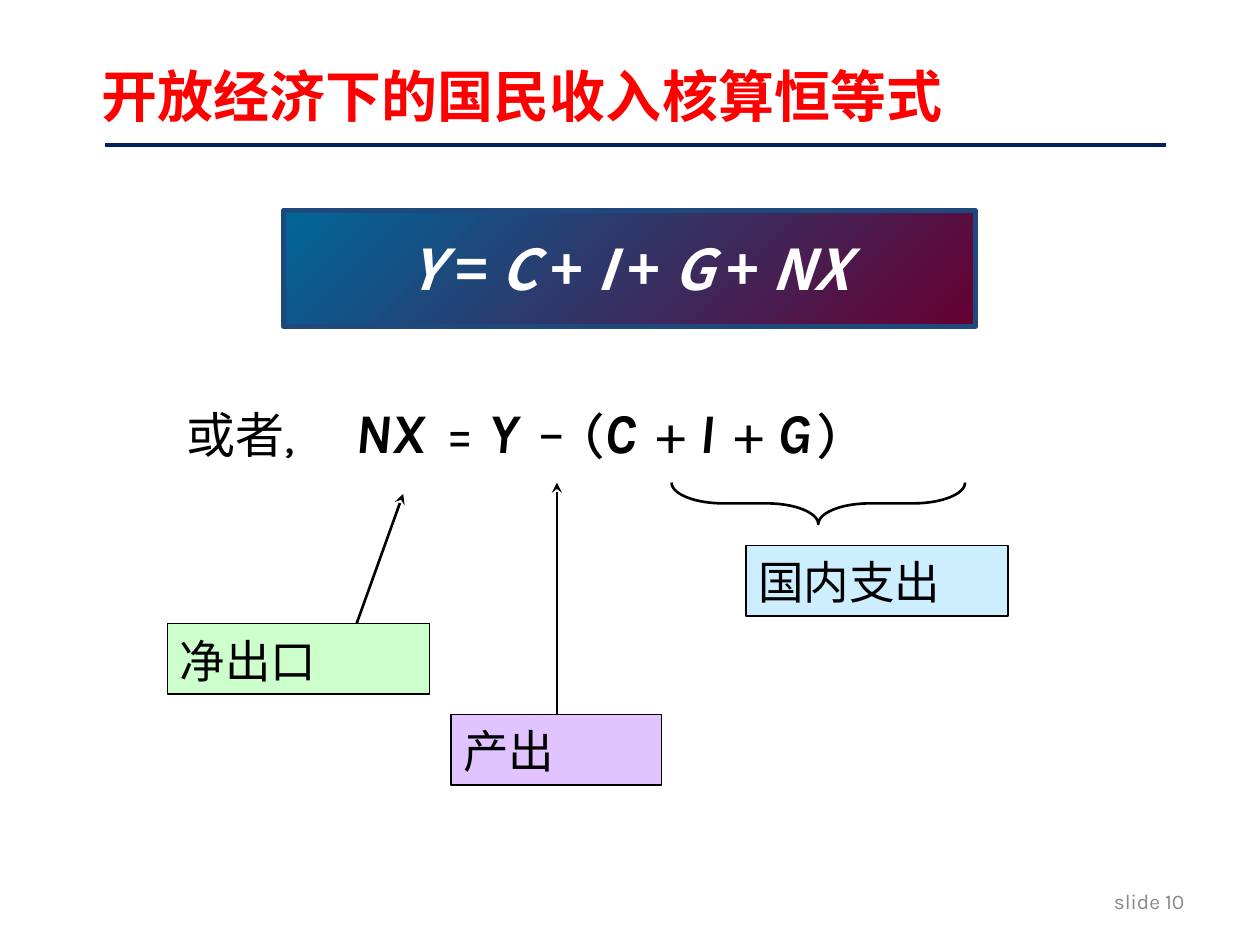
from dataclasses import dataclass

from lxml import etree
from pptx import Presentation
from pptx import util as u
from pptx.dml import color
from pptx.enum import shapes, text
from pptx.oxml import ns


@dataclass(frozen=True)
class Theme:
    body: str = "Karla"
    heading: str = "Noto Sans CJK SC"
    red: str = "FF0000"
    black: str = "000000"
    white: str = "FFFFFF"
    grey: str = "898989"
    navy: str = "002060"
    border: str = "1F497D"
    blend: tuple = ("006699", "660033")
    green: str = "CCFFCC"
    blue: str = "CDEEFF"
    purple: str = "E1C3FF"
    large: int = 32
    medium: int = 28
    label: int = 26
    small: int = 12


T = Theme()


def rgb(value):
    return color.RGBColor.from_string(value)


def set_attrs(obj, values):
    for name, value in values.items():
        setattr(obj, name, value)


def add_run(p, words, size, ink=T.black, font=T.body, spacing=0, **style):
    r = p.add_run()
    r.text = words
    set_attrs(r.font, {"size": u.Pt(size), "name": font, **style})
    r.font.color.rgb = rgb(ink)
    if spacing:
        r.font._element.set("spc", str(spacing))


def set_line(shape, ink, width):
    shape.line.color.rgb = rgb(ink)
    shape.line.width = u.Pt(width)


def add_text(s, box, anchor=text.MSO_ANCHOR.TOP, **layout):
    tf = s.shapes.add_textbox(*map(u.Inches, box)).text_frame
    set_attrs(tf, {"word_wrap": True, "vertical_anchor": anchor})
    p = tf.paragraphs[0]
    set_attrs(p, layout)
    return p


def add_shape(s, kind, box, ink, width):
    sp = s.shapes.add_shape(kind, *map(u.Inches, box))
    sp.shadow.inherit = False
    set_line(sp, ink, width)
    return sp


def add_line(s, start, end, ink=T.black, width=1.5, arrow=False):
    points = map(u.Inches, (*start, *end))
    line = s.shapes.add_connector(shapes.MSO_CONNECTOR.STRAIGHT, *points)
    set_line(line, ink, width)
    if arrow:
        etree.SubElement(line.line._get_or_add_ln(), ns.qn("a:tailEnd"), type="stealth")
    etree.SubElement(line._element.spPr, ns.qn("a:effectLst"))


def add_label(s, words, left, top, width, fill):
    box = (left, top, width, 0.56)
    sp = add_shape(s, shapes.MSO_SHAPE.RECTANGLE, box, T.black, 0.75)
    sp.fill.solid()
    sp.fill.fore_color.rgb = rgb(fill)
    tf = sp.text_frame
    set_attrs(tf, {
        "word_wrap": True,
        "vertical_anchor": text.MSO_ANCHOR.TOP,
        "auto_size": text.MSO_AUTO_SIZE.SHAPE_TO_FIT_TEXT,
    })
    p = tf.paragraphs[0]
    set_attrs(p, {"alignment": text.PP_ALIGN.LEFT, "line_spacing": 1.05})
    add_run(p, words, T.label)


def add_identity(s):
    box = (2.25, 1.67, 5.49, 0.92)
    sp = add_shape(s, shapes.MSO_SHAPE.RECTANGLE, box, T.border, 3)
    sp.fill.gradient()
    sp.fill.gradient_angle = 315
    for stop, ink in zip(sp.fill.gradient_stops, T.blend):
        stop.color.rgb = rgb(ink)
    tf = sp.text_frame
    tf.vertical_anchor = text.MSO_ANCHOR.MIDDLE
    p = tf.paragraphs[0]
    p.alignment = text.PP_ALIGN.CENTER
    pPr = p._p.get_or_add_pPr()
    pPr.set("marL", str(u.Inches(0.38)))
    pPr.set("indent", str(u.Inches(-0.38)))
    for words in ("Y", " = ", "C", " + ", "I", " + ", "G", " + ", "NX"):
        add_run(p, words, T.large, T.white, T.heading, bold=True, italic=words.isalpha())


def add_rearranged_identity(s):
    p = add_text(s, (1.38, 3.17, 6.87, 0.67), line_spacing=0.9)
    tabs = etree.SubElement(p._p.get_or_add_pPr(), ns.qn("a:tabLst"))
    etree.SubElement(tabs, ns.qn("a:tab"), pos=str(u.Inches(1.34)), algn="l")
    add_run(p, "或者,\t", T.medium)
    wide = 400
    terms = (
        ("NX", wide), ("= ", 0), ("Y", wide), ("–", wide), ("(", 0),
        ("C", wide), ("+ ", 0), ("I", wide), ("+ ", 0), ("G", 0),
    )
    for words, gap in terms:
        add_run(p, words, T.large, bold=words.isalpha(), italic=words.isalpha())
        if gap:
            add_run(p, " ", T.large, spacing=gap, bold=True, italic=True)
    add_run(p, " ", T.large / 2, bold=True, italic=True)
    add_run(p, ")", T.large)


def add_brace(s):
    box = (6.33, 2.83, 0.33, 2.33)
    sp = add_shape(s, shapes.MSO_SHAPE.LEFT_BRACE, box, T.black, 1.5)
    sp.fill.background()
    sp.rotation = 270
    sp.adjustments[0] = 1.25


def main():
    prs = Presentation()
    set_attrs(prs, {"slide_width": u.Inches(10), "slide_height": u.Inches(7.5)})
    s = prs.slides.add_slide(prs.slide_layouts[6])

    middle = text.MSO_ANCHOR.MIDDLE
    p = add_text(s, (0.71, 0.42, 8.66, 0.73), middle, line_spacing=0.9)
    add_run(p, "开放经济下的国民收入核算恒等式", T.large, T.red, T.heading, bold=True)
    add_line(s, (0.83, 1.15), (9.25, 1.15), T.navy, 2.5)

    add_identity(s)
    add_rearranged_identity(s)

    add_label(s, "净出口", 1.33, 4.95, 2.08, T.green)
    add_line(s, (2.83, 4.95), (3.2, 3.92), arrow=True)
    add_label(s, "国内支出", 5.92, 4.33, 2.08, T.blue)
    add_brace(s)
    add_line(s, (4.42, 5.67), (4.42, 3.83), arrow=True)
    add_label(s, "产出", 3.58, 5.67, 1.67, T.purple)

    p = add_text(s, (7.17, 6.95, 2.33, 0.4), middle, alignment=text.PP_ALIGN.RIGHT)
    add_run(p, "slide 10", T.small, T.grey)
    prs.save("out.pptx")


if __name__ == "__main__":
    main()
